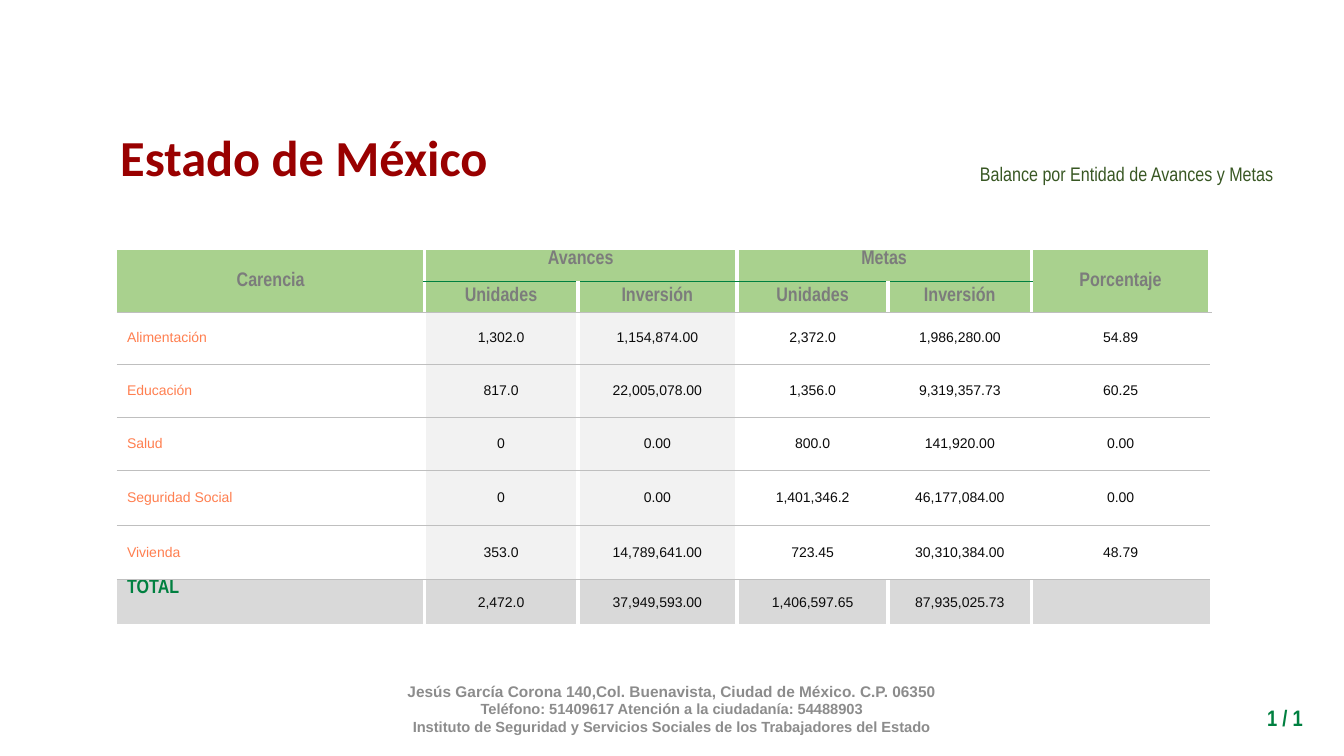
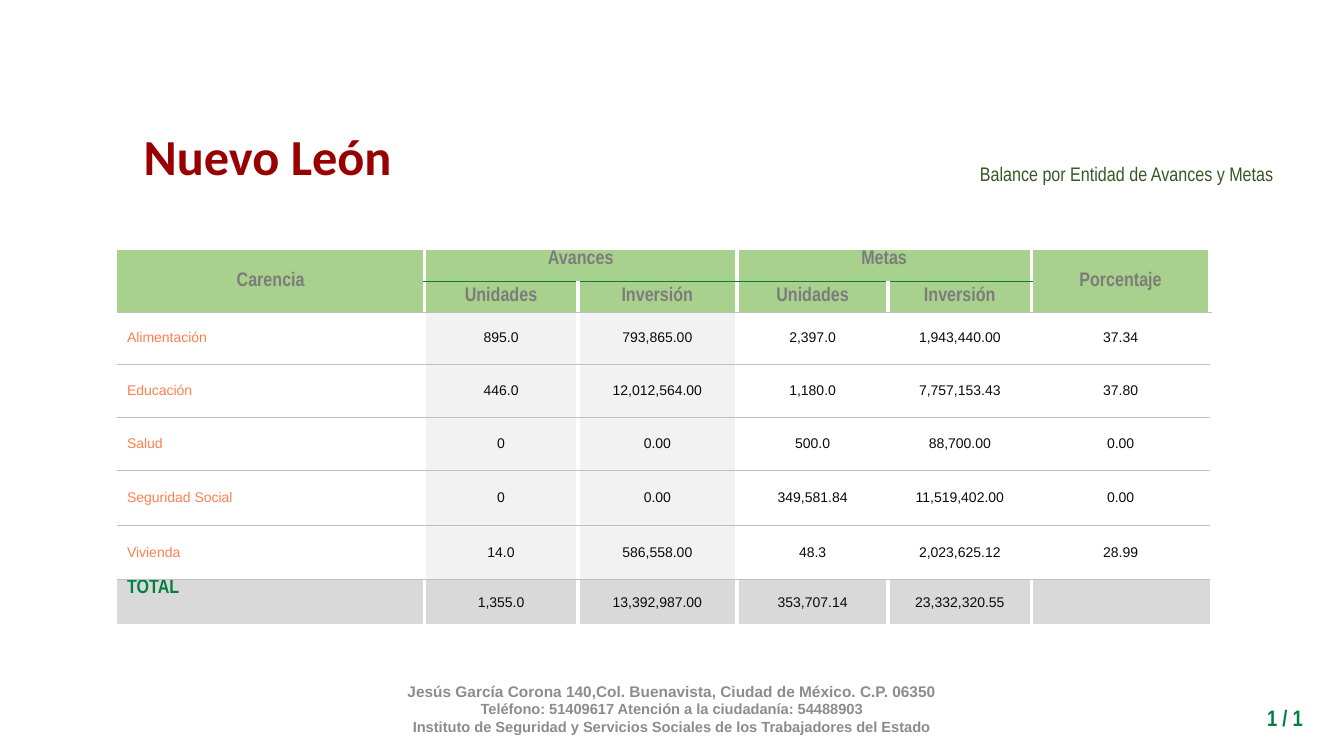
"""Build two state slides that balance progress against targets."""
from pptx import Presentation
from pptx.dml.color import RGBColor
from pptx.enum import text
from pptx.oxml import parse_xml
from pptx.oxml import ns
from pptx.util import Inches, Pt

GREEN, GREY, WHITE = "008040", "BFBFBF", "FFFFFF"
HEAD, BAND, TOTAL = "A9D18E", "F2F2F2", "D9D9D9"
CENTER, RIGHT, LEFT = text.PP_ALIGN.CENTER, text.PP_ALIGN.RIGHT, text.PP_ALIGN.LEFT
TOP, MIDDLE = text.MSO_ANCHOR.TOP, text.MSO_ANCHOR.MIDDLE
NO_GRID = "{2D5ABB26-0587-4C30-8999-92F81FD0307C}"

FOOTER = [
    ("Jesús García Corona 140,Col. Buenavista, Ciudad de México. C.P. 06350", 11),
    ("Teléfono: 51409617 Atención a la ciudadanía: 54488903", 10.5),
    ("Instituto de Seguridad y Servicios Sociales de los Trabajadores del Estado", 10.5),
]
COLS = [3.05, 1.52, 1.58, 1.5, 1.42, 1.77]
ROWS = [0.31, 0.31, 0.51, 0.53, 0.53, 0.54, 0.54, 0.46]
HEADER = [
    ["Carencia", "Avances", "", "Metas", "", "Porcentaje"],
    ["", "Unidades", "Inversión", "Unidades", "Inversión", ""],
]
MERGES = [(0, 0, 1, 0), (0, 1, 0, 2), (0, 3, 0, 4), (0, 5, 1, 5)]
STATES = [
    ("Estado de México", (1.07, 1.2, 3.89, 0.71), [
        ["Alimentación", "1,302.0", "1,154,874.00", "2,372.0", "1,986,280.00", "54.89"],
        ["Educación", "817.0", "22,005,078.00", "1,356.0", "9,319,357.73", "60.25"],
        ["Salud", "0", "0.00", "800.0", "141,920.00", "0.00"],
        ["Seguridad Social", "0", "0.00", "1,401,346.2", "46,177,084.00", "0.00"],
        ["Vivienda", "353.0", "14,789,641.00", "723.45", "30,310,384.00", "48.79"],
        ["TOTAL", "2,472.0", "37,949,593.00", "1,406,597.65", "87,935,025.73", ""],
    ]),
    ("Nuevo León", (1.31, 1.19, 2.69, 0.71), [
        ["Alimentación", "895.0", "793,865.00", "2,397.0", "1,943,440.00", "37.34"],
        ["Educación", "446.0", "12,012,564.00", "1,180.0", "7,757,153.43", "37.80"],
        ["Salud", "0", "0.00", "500.0", "88,700.00", "0.00"],
        ["Seguridad Social", "0", "0.00", "349,581.84", "11,519,402.00", "0.00"],
        ["Vivienda", "14.0", "586,558.00", "48.3", "2,023,625.12", "28.99"],
        ["TOTAL", "1,355.0", "13,392,987.00", "353,707.14", "23,332,320.55", ""],
    ]),
]


def write(p, words, size, font, color, bold=False, align=CENTER):
    p.alignment = align
    r = p.add_run()
    r.text = words
    r.font.size, r.font.name, r.font.bold = Pt(size), font, bold
    r.font.color.rgb = RGBColor.from_string(color)


def border(cell, side, color, width):
    cell._tc.get_or_add_tcPr().append(parse_xml(
        f'<a:{side} {ns.nsdecls("a")} w="{Pt(width)}"><a:solidFill>'
        f'<a:srgbClr val="{color}"/></a:solidFill></a:{side}>'))


prs = Presentation()
prs.slide_width, prs.slide_height = Inches(13.33), Inches(7.5)
layout = prs.slide_layouts[5]
slides = [prs.slides.add_slide(layout) for state in STATES]

sp = slides[0].shapes.add_textbox(Inches(2.88), Inches(6.83), Inches(7.57), Inches(0.4))
tf = sp.text_frame
tf.word_wrap, tf.vertical_anchor = True, MIDDLE
for i, (line, size) in enumerate(FOOTER):
    p = tf.add_paragraph() if i else tf.paragraphs[0]
    write(p, line, size, "Arial", "8C8C8C", True)
sp._element.nvSpPr.cNvPr.set("id", "20")
layout.shapes._spTree.append(sp._element)

for s, (state, place, body) in zip(slides, STATES):
    sp = s.shapes.title
    sp.left, sp.top, sp.width, sp.height = map(Inches, place)
    tf = sp.text_frame
    tf.word_wrap, tf.auto_size = False, text.MSO_AUTO_SIZE.NONE
    tf.vertical_anchor = TOP
    write(tf.paragraphs[0], state, 36, "Calibri", "990000", True)

    sp = s.shapes.add_table(len(ROWS), len(COLS), Inches(1.16), Inches(2.48),
                            Inches(sum(COLS)), Inches(sum(ROWS)))
    table = sp.table
    table.first_row = table.horz_banding = False
    table._tbl.tblPr.find(ns.qn("a:tableStyleId")).text = NO_GRID
    for column, width in zip(table.columns, COLS):
        column.width = Inches(width)
    for row, height in zip(table.rows, ROWS):
        row.height = Inches(height)

    last_row, last_col = len(ROWS) - 1, len(COLS) - 1
    for i, values in enumerate(HEADER + body):
        for j, words in enumerate(values):
            cell = table.cell(i, j)
            head, total, inner = i < 2, i == last_row, 0 < j < last_col
            cell.margin_top = cell.margin_bottom = 0
            if j:
                cell.margin_left = cell.margin_right = Inches(0.01)
            top = (i == 0 and inner) or (total and j == 0)
            cell.vertical_anchor = TOP if top else MIDDLE

            if j and (i or j % 2):
                border(cell, "lnL", WHITE, 3)
            if j < last_col and (i or j % 2 == 0):
                border(cell, "lnR", WHITE, 3)
            if i > 1:
                border(cell, "lnT", GREY, 0.5)
            elif i == 1 and inner:
                border(cell, "lnT", GREEN, 0.25)
            if total:
                border(cell, "lnB", WHITE, 3)
            elif i:
                border(cell, "lnB", GREY, 0.5)
            elif inner:
                border(cell, "lnB", GREEN, 0.25)

            fill = HEAD if head else TOTAL if total else BAND if j in (1, 2) else None
            if fill:
                cell.fill.solid()
                cell.fill.fore_color.rgb = RGBColor.from_string(fill)
            else:
                cell.fill.background()

            if not words:
                continue
            p = cell.text_frame.paragraphs[0]
            if head:
                write(p, words, 14, "Arial Narrow", "7C7C7C", True)
            elif j:
                write(p, words, 10, "Arial", "0B0B0B")
            elif total:
                write(p, words, 14, "Arial Narrow", GREEN, True, LEFT)
            else:
                write(p, words, 10, "Arial", "FF7F50", False, LEFT)
    for r1, c1, r2, c2 in MERGES:
        table.cell(r1, c1).merge(table.cell(r2, c2))

    sp = s.shapes.add_textbox(Inches(6.69), Inches(1.23), Inches(6.04), Inches(0.95))
    tf = sp.text_frame
    tf.word_wrap, tf.vertical_anchor = True, MIDDLE
    p = tf.paragraphs[0]
    p.line_spacing = 1.15
    write(p, "Balance por Entidad de Avances y Metas", 14, "Arial Narrow", "385723", align=RIGHT)

    sp = s.shapes.add_textbox(Inches(11.76), Inches(6.94), Inches(1.26), Inches(0.37))
    tf = sp.text_frame
    tf.word_wrap = True
    write(tf.paragraphs[0], "1 / 1", 16, "Arial Narrow", GREEN, True, RIGHT)

prs.save("out.pptx")
